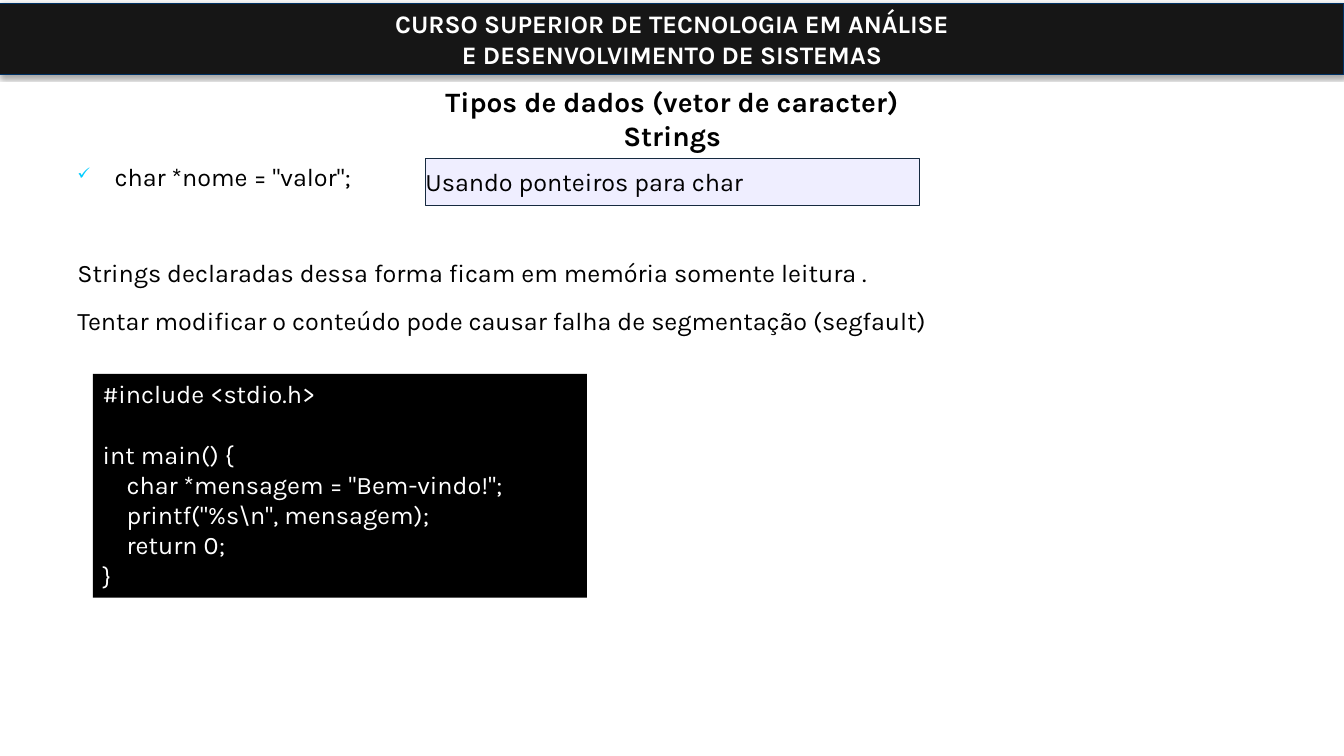
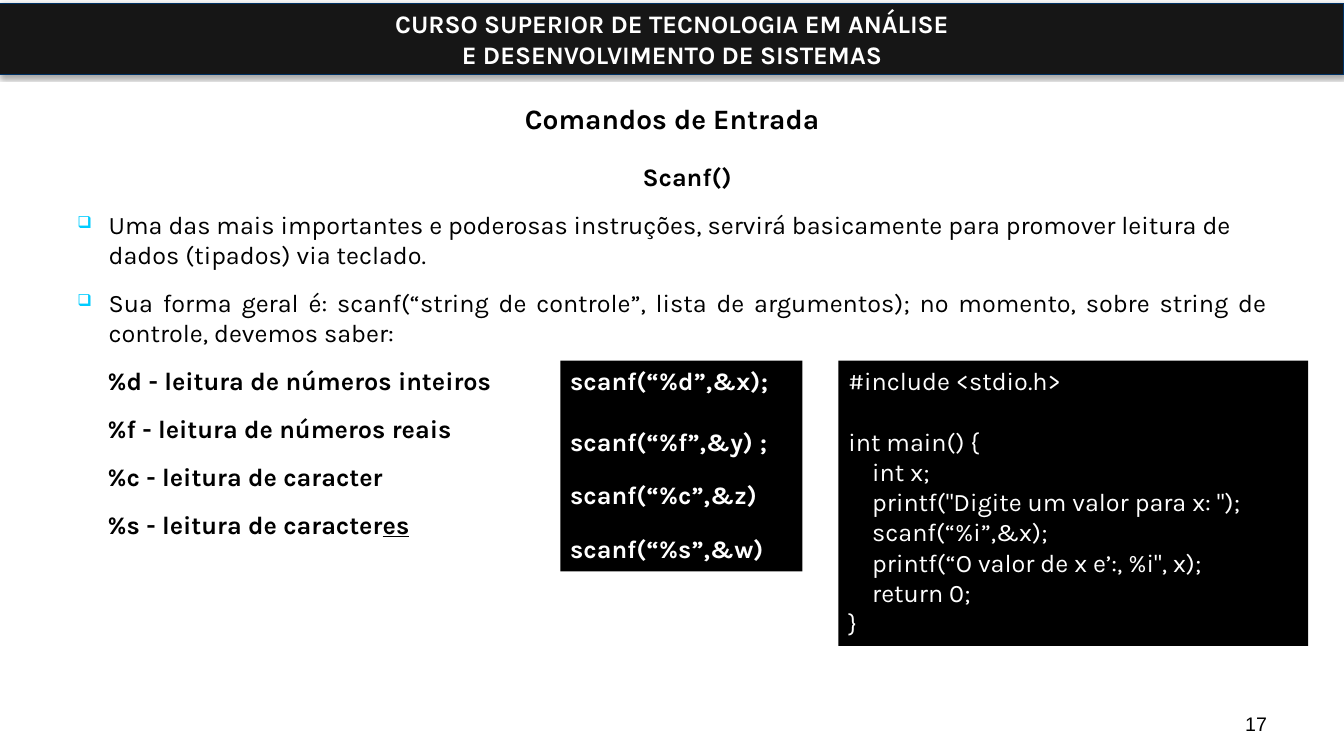
from dataclasses import dataclass
from typing import NamedTuple

from lxml import etree
from pptx import Presentation
from pptx import util as u
from pptx.dml import color
from pptx.enum import shapes, text
from pptx.oxml import ns

ALIGN = text.PP_ALIGN
ANCHOR = text.MSO_ANCHOR


@dataclass(frozen=True)
class Theme:
    """Colours, fonts, type sizes and spacing shared by the slides."""
    font: str = "Karla"
    number_font: str = "Arial"
    ink: str = "000000"
    paper: str = "FFFFFF"
    band: str = "161616"
    band_line: str = "003264"
    label: str = "EFEEFF"
    label_line: str = "162A40"
    bullet: str = "00CCFF"
    title_size: float = 20
    body_size: float = 18
    number_size: float = 14
    before: float = 3.6
    after: float = 9
    blank: float = 21.5
    half_blank: float = 16.7


THEME = Theme()


class Box(NamedTuple):
    """A rectangle in centimetres."""
    left: float
    top: float
    width: float
    height: float

    def lengths(self):
        """Return the four sides as slide lengths."""
        return [u.Cm(side) for side in self]


@dataclass
class Line:
    """One paragraph with its layout; indents are in centimetres."""
    text: str
    underlined: str = ""
    bold: bool = False
    align: ALIGN = ALIGN.LEFT
    before: float = 0
    after: float = 0
    margin: float = 0
    first: float = 0
    bullet: str = ""


PAGE = Box(0, 0, 33.87, 19.05)
BAND = Box(0, 0.08, PAGE.width, 1.8)
TITLE = Box(1.7, 1.07, 30.48, 3.81)
BODY = Box(1.7, 3.94, 30.48, 12.8)
NUMBER = Box(24.28, 17.35, 7.9, 1.32)


def add_element(parent, tag, **attributes):
    """Append a DrawingML element and return it."""
    values = {name: str(value) for name, value in attributes.items()}
    return etree.SubElement(parent, ns.qn(f"a:{tag}"), values)


def add_bullet(para, mark):
    """Give a paragraph a small coloured bullet."""
    properties = para._p.get_or_add_pPr()
    add_element(add_element(properties, "buClr"), "srgbClr", val=THEME.bullet)
    add_element(properties, "buSzPct", val=65000)
    add_element(properties, "buChar", char=mark)


def write(shape, lines, ink=THEME.ink, size=THEME.body_size, font=THEME.font,
          anchor=ANCHOR.TOP):
    """Write styled lines into a shape."""
    frame = shape.text_frame
    frame.word_wrap = True
    frame.vertical_anchor = anchor
    for index, line in enumerate(lines):
        para = frame.add_paragraph() if index else frame.paragraphs[0]
        para.text = line.text
        if line.underlined:
            span = para.add_run()
            span.text = line.underlined
            span.font.underline = True
        para.alignment = line.align
        para.space_before = u.Pt(line.before if index else 0)
        para.space_after = u.Pt(line.after)
        properties = para._p.get_or_add_pPr()
        properties.set("marL", str(u.Cm(line.margin)))
        properties.set("indent", str(u.Cm(line.first)))
        if line.bullet:
            add_bullet(para, line.bullet)
        for span in para.runs:
            span.font.name = font
            span.font.size = u.Pt(size)
            span.font.bold = line.bold
            span.font.color.rgb = color.RGBColor.from_string(ink)


def add_text(page, box, lines, **style):
    """Add a plain text box."""
    write(page.shapes.add_textbox(*box.lengths()), lines, **style)


def add_panel(page, box, lines, fill, outline=None, **style):
    """Add a filled rectangle holding text and return it."""
    panel = page.shapes.add_shape(shapes.MSO_SHAPE.RECTANGLE, *box.lengths())
    panel.shadow.inherit = False
    panel.fill.solid()
    panel.fill.fore_color.rgb = color.RGBColor.from_string(fill)
    if outline:
        panel.line.color.rgb = color.RGBColor.from_string(outline)
        panel.line.width = u.Pt(0.75)
    else:
        panel.line.fill.background()
    write(panel, lines, **style)
    return panel


def add_band(page, box):
    """Add the course band with its soft shadow."""
    names = ("CURSO SUPERIOR DE TECNOLOGIA EM ANÁLISE",
             "E DESENVOLVIMENTO DE SISTEMAS")
    lines = [Line(name, bold=True, align=ALIGN.CENTER) for name in names]
    band = add_panel(page, box, lines, THEME.band, THEME.band_line,
                     ink=THEME.paper, anchor=ANCHOR.MIDDLE)
    effects = band._element.spPr.find(ns.qn("a:effectLst"))
    shadow = add_element(effects, "outerShdw", blurRad=u.Pt(3.1),
                         dist=u.Pt(1.8), dir=90 * 60000, rotWithShape=0)
    tint = add_element(shadow, "srgbClr", val=THEME.ink)
    add_element(tint, "alpha", val=35000)


def add_code(page, box, code, bold=False, blank=THEME.blank):
    """Add a black code panel, turning empty code lines into spacing."""
    lines, gap = [], 0
    for row in code.splitlines():
        if row:
            lines.append(Line(row, bold=bold, before=gap))
            gap = 0
        else:
            gap = blank
    add_panel(page, box, lines, THEME.ink, ink=THEME.paper)


def add_calls(page, box, calls):
    """Add a black panel of calls, the first gap wider than the rest."""
    gaps = [0, THEME.blank] + [THEME.half_blank] * (len(calls) - 2)
    lines = [Line(call, bold=True, before=gap)
             for call, gap in zip(calls, gaps)]
    add_panel(page, box, lines, THEME.ink, ink=THEME.paper)


def add_label(page, box, words):
    """Add a pale outlined label with no side padding."""
    label = add_panel(page, box, [Line(words, align=ALIGN.JUSTIFY)],
                      THEME.label, THEME.label_line, anchor=ANCHOR.MIDDLE)
    label.text_frame.margin_left = label.text_frame.margin_right = 0


def body_line(words, **layout):
    """Make a body paragraph with the shared spacing."""
    return Line(words, **{"before": THEME.before, "after": THEME.after, **layout})


def start_page(deck, title, lines):
    """Add a page with the band, title and body text."""
    page = deck.slides.add_slide(deck.slide_layouts[6])
    add_band(page, BAND)
    add_text(page, TITLE, [Line(title, bold=True, align=ALIGN.CENTER)],
             size=THEME.title_size, anchor=ANCHOR.MIDDLE)
    add_text(page, BODY, lines)
    return page


STRING_CODE = r'''#include <stdio.h>

int main() {
    char *mensagem = "Bem-vindo!";
    printf("%s\n", mensagem);
    return 0;
}'''

INPUT_CODE = '''#include <stdio.h>

int main() {
    int x;
    printf("Digite um valor para x: ");
    scanf(“%i”,&x);
    printf(“O valor de x e’:, %i", x);
    return 0;
}'''


def strings_page(deck):
    """Build the page on strings as char pointers."""
    page = start_page(deck, "Tipos de dados (vetor de caracter)\vStrings", [
        body_line('char *nome = "valor";', align=ALIGN.JUSTIFY,
                  margin=0.94, first=-0.94, bullet="✓"),
        body_line("Strings declaradas dessa forma ficam em memória somente "
                  "leitura .", before=37.7),
        body_line("Tentar modificar o conteúdo pode causar falha de "
                  "segmentação (segfault)"),
    ])
    add_code(page, Box(2.34, 9.42, 12.45, 5.64), STRING_CODE)
    add_label(page, Box(10.72, 3.99, 12.45, 1.19), "Usando ponteiros para char")


def input_page(deck):
    """Build the page on the scanf input command."""
    point = {"margin": 0.79, "first": -0.79, "bullet": "❑"}
    entry = {"first": 0.76, "bold": True}
    formats = (("%d - leitura de números inteiros", ""),
               ("%f - leitura de números reais", ""),
               ("%c - leitura de caracter", ""),
               ("%s - leitura de caracter", "es"))
    page = start_page(deck, "Comandos de Entrada", [
        body_line("Scanf()", align=ALIGN.CENTER, **entry),
        body_line("Uma das mais importantes e poderosas instruções, servirá "
                  "basicamente para promover leitura de dados (tipados) via "
                  "teclado.", **point),
        body_line("Sua forma geral é: scanf(“string de controle”, lista de "
                  "argumentos); no momento, sobre string de controle, devemos "
                  "saber:", align=ALIGN.JUSTIFY, **point),
        *(body_line(words, underlined=tail, align=ALIGN.JUSTIFY, **entry)
          for words, tail in formats),
    ])
    add_calls(page, Box(14.12, 9.09, 6.1, 5.31),
              ["scanf(“%d”,&x);", "scanf(“%f”,&y) ;",
               "scanf(“%c”,&z)", "scanf(“%s”,&w)"])
    add_code(page, Box(21.13, 9.09, 11.84, 7.19), INPUT_CODE)
    add_text(page, NUMBER, [Line("17", align=ALIGN.RIGHT)],
             size=THEME.number_size, font=THEME.number_font,
             anchor=ANCHOR.BOTTOM)


def main():
    """Build and save the deck."""
    deck = Presentation()
    deck.slide_width, deck.slide_height = PAGE.lengths()[2:]
    strings_page(deck)
    input_page(deck)
    deck.save("out.pptx")


if __name__ == "__main__":
    main()
